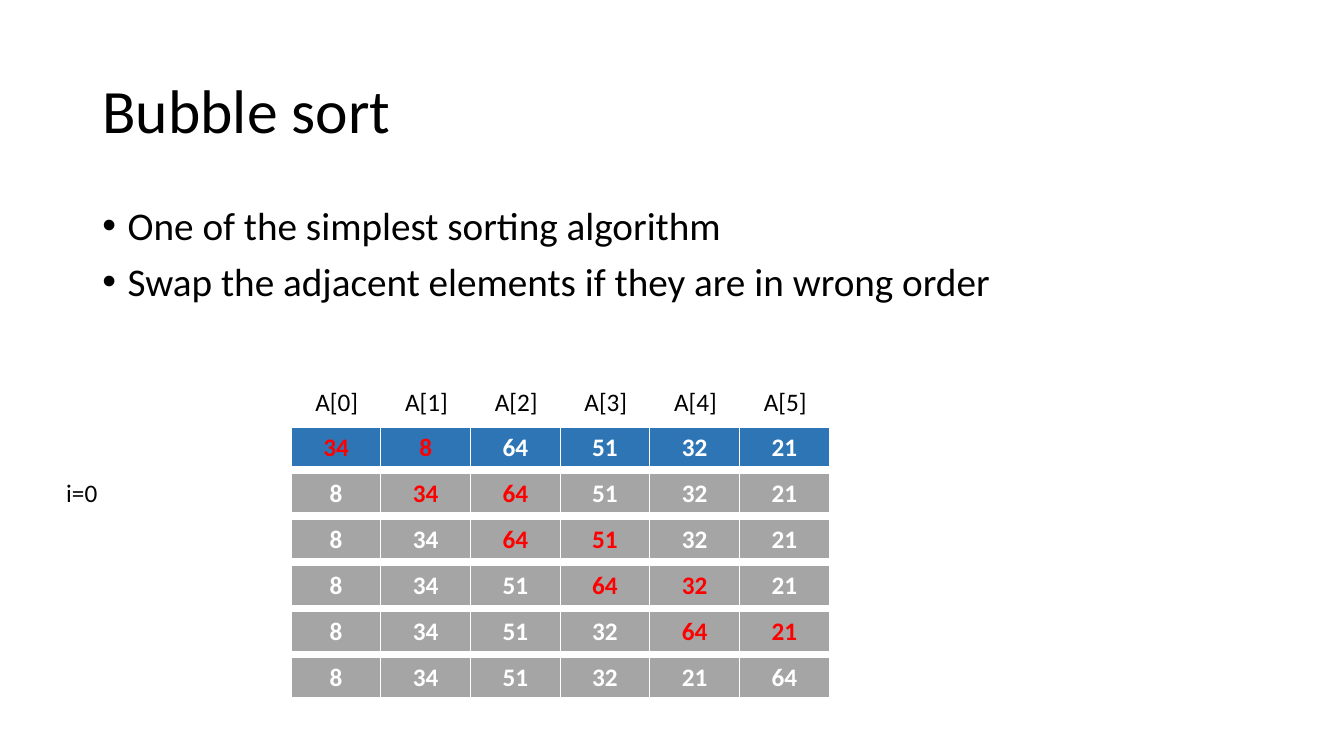
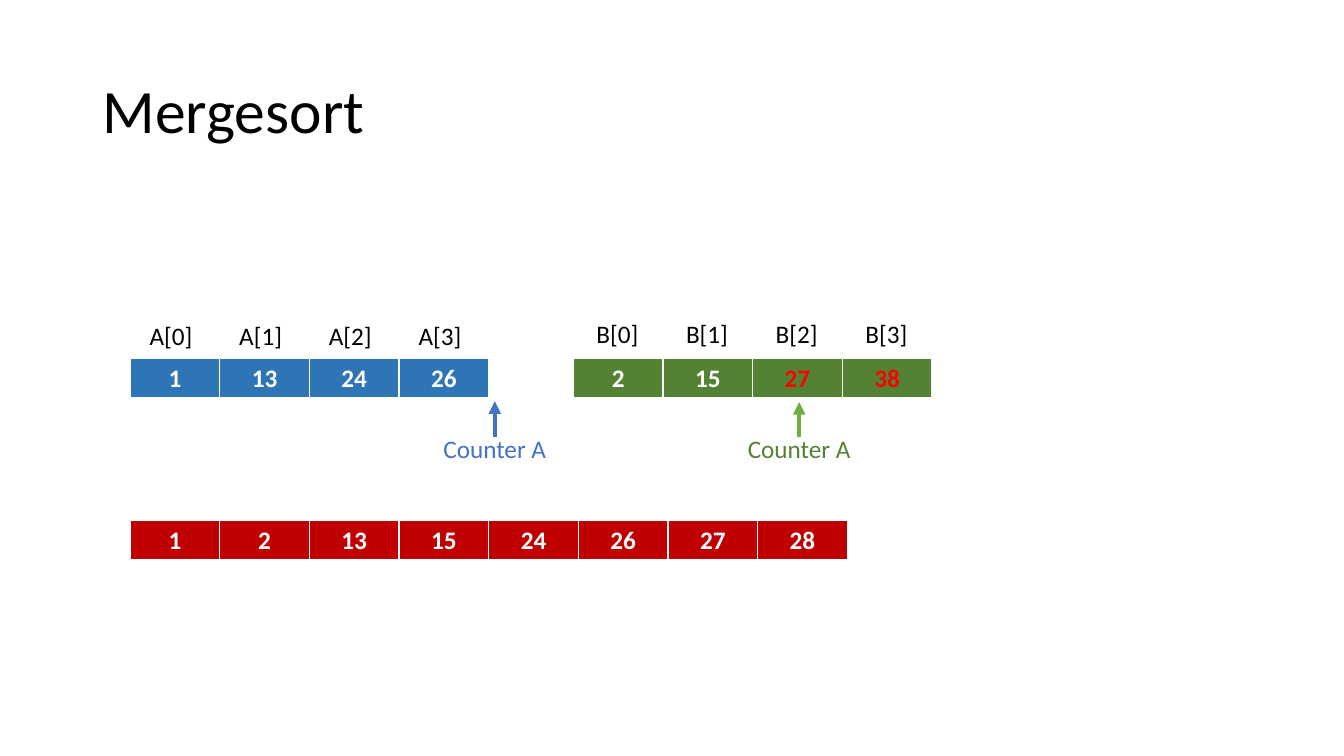
import pptx
import pptx.dml.color
import pptx.enum.shapes
import pptx.enum.text
import pptx.oxml.ns
import pptx.util
from lxml import etree
from pptx.util import Cm

BLACK, WHITE, RED = "000000", "FFFFFF", "FF0000"
BLUE, GRAY, GREEN, DARK_RED = "2E75B6", "A5A5A5", "548235", "C00000"
ARROW_BLUE, ARROW_GREEN = "4472C4", "70AD47"

CELL_WIDTH, CELL_HEIGHT = 2.26, 1.03
LABEL_WIDTH, LABEL_HEIGHT = 1.6, 1.02
COUNTER_WIDTH, ARROW_LENGTH = 3.2, 0.89


def color(hex_string):
    return pptx.dml.color.RGBColor.from_string(hex_string)


def add_element(parent, tag, **attributes):
    return etree.SubElement(parent, pptx.oxml.ns.qn(tag), attributes)


class Deck:
    """Holds the shared style and the current slide; lengths are centimetres."""

    font_name = "Calibri"
    align = pptx.enum.text.PP_ALIGN

    def __init__(self):
        self.presentation = pptx.Presentation()
        self.presentation.slide_width = Cm(33.87)
        self.presentation.slide_height = Cm(19.05)
        self.slide = None

    def style(self, paragraph, size=18, hex_string=BLACK, bold=False, alignment=align.LEFT):
        paragraph.alignment = alignment
        font = paragraph.font
        font.name = self.font_name
        font.size = pptx.util.Pt(size)
        font.bold = bold
        font.color.rgb = color(hex_string)

    def new_slide(self, title):
        self.slide = self.presentation.slides.add_slide(self.presentation.slide_layouts[5])
        shape = self.slide.shapes.title
        shape.left, shape.top, shape.width, shape.height = Cm(2.33), Cm(1.01), Cm(29.21), Cm(3.68)
        shape.text_frame.text = title
        shape.text_frame.vertical_anchor = pptx.enum.text.MSO_ANCHOR.MIDDLE
        paragraph = shape.text_frame.paragraphs[0]
        paragraph.line_spacing = 0.9
        self.style(paragraph, size=44)

    def bullets(self, items):
        shape = self.slide.shapes.add_textbox(Cm(2.33), Cm(5.07), Cm(29.21), Cm(12.09))
        frame = shape.text_frame
        frame.word_wrap = True
        for index, item in enumerate(items):
            paragraph = frame.add_paragraph() if index else frame.paragraphs[0]
            paragraph.text = item
            paragraph.line_spacing = 0.9
            if index:
                paragraph.space_before = pptx.util.Pt(10)
            properties = paragraph._p.get_or_add_pPr()
            properties.set("marL", str(Cm(0.64)))
            properties.set("indent", str(-Cm(0.64)))
            add_element(properties, "a:buFont", typeface="Arial")
            add_element(properties, "a:buChar", char="•")
            self.style(paragraph, size=28)

    def label(self, text, left, top, width=LABEL_WIDTH, hex_string=BLACK, alignment=align.LEFT):
        shape = self.slide.shapes.add_textbox(Cm(left), Cm(top), Cm(width), Cm(LABEL_HEIGHT))
        frame = shape.text_frame
        frame.word_wrap = False
        frame.auto_size = pptx.enum.text.MSO_AUTO_SIZE.SHAPE_TO_FIT_TEXT
        frame.text = text
        self.style(frame.paragraphs[0], hex_string=hex_string, alignment=alignment)

    def index_labels(self, name, count, left, top):
        for index in range(count):
            self.label(f"{name}[{index}]", left + index * CELL_WIDTH, top)

    def array(self, values, left, top, fill, highlighted=()):
        shape = self.slide.shapes.add_table(
            1, len(values), Cm(left), Cm(top), Cm(CELL_WIDTH * len(values)), Cm(CELL_HEIGHT))
        table = shape.table
        table.first_row = table.horz_banding = False
        table.rows[0].height = Cm(CELL_HEIGHT)
        for index, value in enumerate(values):
            table.columns[index].width = Cm(CELL_WIDTH)
            cell = table.cell(0, index)
            self.borders(cell)
            cell.fill.solid()
            cell.fill.fore_color.rgb = color(fill)
            cell.text = str(value)
            self.style(cell.text_frame.paragraphs[0], bold=True, alignment=self.align.CENTER,
                       hex_string=RED if index in highlighted else WHITE)

    def borders(self, cell):
        properties = cell._tc.get_or_add_tcPr()
        for side, points in (("L", 1), ("R", 1), ("T", 1), ("B", 3)):
            line = add_element(properties, f"a:ln{side}", w=str(pptx.util.Pt(points)))
            add_element(add_element(line, "a:solidFill"), "a:srgbClr", val=WHITE)

    def counter(self, text, center, arrow_top, text_color, arrow_color):
        connector = self.slide.shapes.add_connector(
            pptx.enum.shapes.MSO_CONNECTOR.STRAIGHT,
            Cm(center), Cm(arrow_top + ARROW_LENGTH), Cm(center), Cm(arrow_top))
        connector.line.color.rgb = color(arrow_color)
        connector.line.width = pptx.util.Pt(3)
        add_element(connector.line._get_or_add_ln(), "a:tailEnd", type="triangle")
        add_element(connector._element.spPr, "a:effectLst")
        self.label(text, center - COUNTER_WIDTH / 2, 10.8, COUNTER_WIDTH,
                   text_color, self.align.CENTER)


def bubble_sort_slide(deck):
    deck.new_slide("Bubble sort")
    deck.bullets(["One of the simplest sorting algorithm",
                  "Swap the adjacent elements if they are in wrong order"])

    # One pass: each row marks the pair that is compared next
    values = [34, 8, 64, 51, 32, 21]
    last = len(values) - 1
    deck.index_labels("A", len(values), 7.7, 9.6)
    deck.label("i=0", 1.42, 11.91, 1.3)
    for step in range(len(values)):
        pair = (step, step + 1) if step < last else ()
        deck.array(values, 7.34, 10.77 + 1.16 * step, GRAY if step else BLUE, pair)
        if pair:
            values[step:step + 2] = sorted(values[step:step + 2])


def mergesort_slide(deck):
    deck.new_slide("Mergesort")

    # Sorted halves
    deck.array([1, 13, 24, 26], 3.28, 9.02, BLUE)
    deck.array([2, 15, 27, 38], 14.45, 9.02, GREEN, highlighted=(2, 3))
    deck.index_labels("A", 4, 3.52, 7.95)
    deck.index_labels("B", 4, 14.78, 7.9)

    # Merged result
    deck.array([1, 2, 13, 15, 24, 26, 27, 28], 3.28, 13.11, DARK_RED)

    # Counters
    deck.counter("Counter A", 20.14, 10.13, GREEN, ARROW_GREEN)
    deck.counter("Counter A", 12.47, 10.11, ARROW_BLUE, ARROW_BLUE)


def main():
    deck = Deck()
    bubble_sort_slide(deck)
    mergesort_slide(deck)
    deck.presentation.save("out.pptx")


if __name__ == "__main__":
    main()
